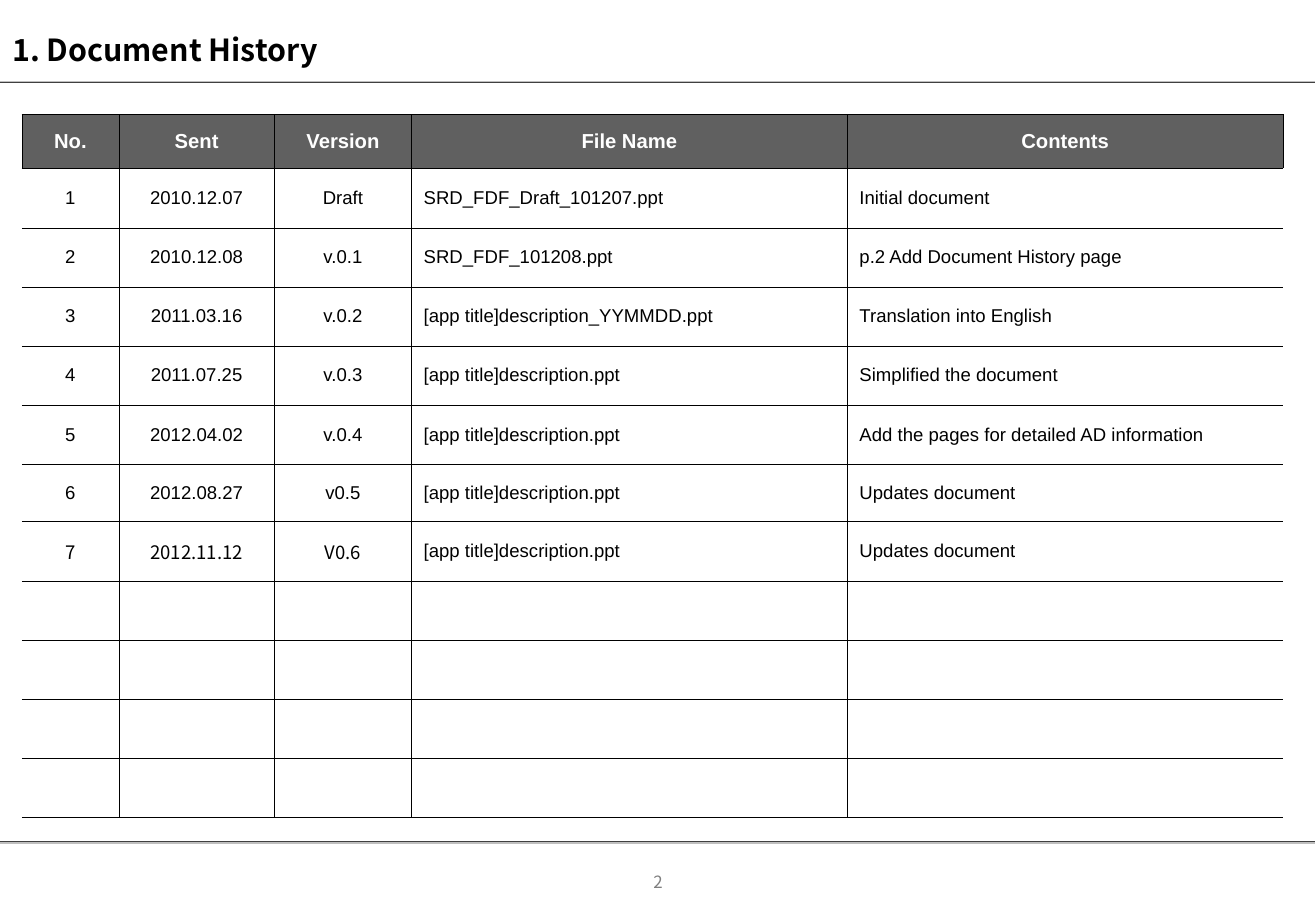
import pptx
import pptx.dml.color
import pptx.enum.shapes
import pptx.enum.text
import pptx.oxml.ns
import pptx.util
import lxml.etree

EMU_PER_PX = 4572  # 200 px to the inch
SLIDE_SIZE = (2168, 1500)
ALIGN = pptx.enum.text.PP_ALIGN
MIDDLE = pptx.enum.text.MSO_ANCHOR.MIDDLE


class Theme:
    black, white = "000000", "FFFFFF"
    header_fill = "606060"
    rule_dark, rule_light = "404040", "BFBFBF"
    rule_width, border_width = 0.75, 0.11
    sans, cjk = "Arial", "Noto Sans CJK KR"
    title = {"name": cjk, "size": 18, "bold": True, "color": black}
    header = {"name": sans, "size": 12, "bold": True, "color": white}
    cell = {"name": sans, "size": 11, "bold": False, "color": black}
    cell_cjk = {**cell, "name": cjk}
    page_number = {"name": cjk, "size": 10, "bold": False, "color": "7F7F7F"}


COLUMN_WIDTHS = [160, 256, 226, 718, 718]
ROW_HEIGHTS = [89, 98, 97, 98, 97, 98, 94, 98, 97, 98, 97, 97]
CENTRED_COLUMNS = 3
HEADINGS = ["No.", "Sent", "Version", "File Name", "Contents"]
HISTORY = [
    ["1", "2010.12.07", "Draft", "SRD_FDF_Draft_101207.ppt", "Initial document"],
    ["2", "2010.12.08", "v.0.1", "SRD_FDF_101208.ppt", "p.2 Add Document History page"],
    ["3", "2011.03.16", "v.0.2", "[app title]description_YYMMDD.ppt", "Translation into English"],
    ["4", "2011.07.25", "v.0.3", "[app title]description.ppt", "Simplified the document"],
    ["5", "2012.04.02", "v.0.4", "[app title]description.ppt",
     "Add the pages for detailed AD information"],
    ["6", "2012.08.27", "v0.5", "[app title]description.ppt", "Updates document"],
    ["7", "2012.11.12", "V0.6", "[app title]description.ppt", "Updates document"],
]


def px(value):
    return pptx.util.Emu(value * EMU_PER_PX)


def rgb(color):
    return pptx.dml.color.RGBColor.from_string(color)


def write(paragraph, text, style, alignment):
    paragraph.alignment = alignment
    run = paragraph.add_run()
    run.text = text
    values = {**style, "size": pptx.util.Pt(style["size"])}
    run.font.color.rgb = rgb(values.pop("color"))
    for name, value in values.items():
        setattr(run.font, name, value)


def format_frame(frame):
    settings = {"word_wrap": True, "vertical_anchor": MIDDLE,
                "auto_size": pptx.enum.text.MSO_AUTO_SIZE.NONE}
    for name, value in settings.items():
        setattr(frame, name, value)


def add_title(slide, box, text):
    title = slide.shapes.title
    for name, value in zip(("left", "top", "width", "height"), box):
        setattr(title, name, px(value))
    format_frame(title.text_frame)
    write(title.text_frame.paragraphs[0], text, Theme.title, ALIGN.LEFT)


def add_rule(slide, box, color):
    left, top, width = box
    rule = slide.shapes.add_connector(
        pptx.enum.shapes.MSO_CONNECTOR.STRAIGHT,
        px(left), px(top), px(left + width), px(top))
    rule.line.color.rgb = rgb(color)
    rule.line.width = pptx.util.Pt(Theme.rule_width)
    lxml.etree.SubElement(rule._element.spPr, pptx.oxml.ns.qn("a:effectLst"))


def set_borders(cell, open_sides):
    properties = cell._tc.get_or_add_tcPr()
    for side in "LRTB":
        border = lxml.etree.SubElement(properties, pptx.oxml.ns.qn(f"a:ln{side}"))
        border.set("w", str(int(pptx.util.Pt(Theme.border_width))))
        if side in open_sides:
            lxml.etree.SubElement(border, pptx.oxml.ns.qn("a:noFill"))
        else:
            fill = lxml.etree.SubElement(border, pptx.oxml.ns.qn("a:solidFill"))
            color = lxml.etree.SubElement(fill, pptx.oxml.ns.qn("a:srgbClr"))
            color.set("val", Theme.black)


def cell_style(row, column):
    if row == 0:
        return Theme.header
    is_latest = row == len(HISTORY)
    return Theme.cell_cjk if is_latest and column < CENTRED_COLUMNS else Theme.cell


def add_history_table(slide, left, top):
    table = slide.shapes.add_table(
        len(ROW_HEIGHTS), len(COLUMN_WIDTHS), px(left), px(top),
        px(sum(COLUMN_WIDTHS)), px(sum(ROW_HEIGHTS))).table
    table.first_row = table.horz_banding = False
    for column, width in zip(table.columns, COLUMN_WIDTHS):
        column.width = px(width)
    for row, height in zip(table.rows, ROW_HEIGHTS):
        row.height = px(height)

    # Body rows stay open at the outer left and right
    last_column = len(COLUMN_WIDTHS) - 1
    records = [HEADINGS] + HISTORY
    for row in range(len(ROW_HEIGHTS)):
        for column in range(len(COLUMN_WIDTHS)):
            cell = table.cell(row, column)
            open_sides = {0: "L", last_column: "R"}.get(column, "") if row else ""
            set_borders(cell, open_sides)
            cell.fill.solid()
            cell.fill.fore_color.rgb = rgb(Theme.white if row else Theme.header_fill)
            cell.vertical_anchor = MIDDLE
            if row < len(records):
                centred = row == 0 or column < CENTRED_COLUMNS
                write(cell.text_frame.paragraphs[0], records[row][column],
                      cell_style(row, column), ALIGN.CENTER if centred else ALIGN.LEFT)


def add_page_number(slide, box, text):
    number = slide.shapes.add_textbox(*map(px, box))
    format_frame(number.text_frame)
    paragraph = number.text_frame.paragraphs[0]
    paragraph.line_spacing = 1.1
    write(paragraph, text, Theme.page_number, ALIGN.CENTER)


def build_history_slide(presentation):
    slide = presentation.slides.add_slide(presentation.slide_layouts[5])
    # Header and footer rules
    for top, color in ((136, Theme.rule_dark), (1386, Theme.rule_dark),
                       (134, Theme.rule_light), (1388, Theme.rule_light)):
        add_rule(slide, (0, top, 2166), color)
    # Page number, table and title
    add_page_number(slide, (974, 1428, 220, 44), "2")
    add_history_table(slide, 36, 188)
    add_title(slide, (0, 42, 1698, 80), "1. Document History")


def main():
    presentation = pptx.Presentation()
    presentation.slide_width, presentation.slide_height = map(px, SLIDE_SIZE)
    build_history_slide(presentation)
    presentation.save("out.pptx")


if __name__ == "__main__":
    main()
